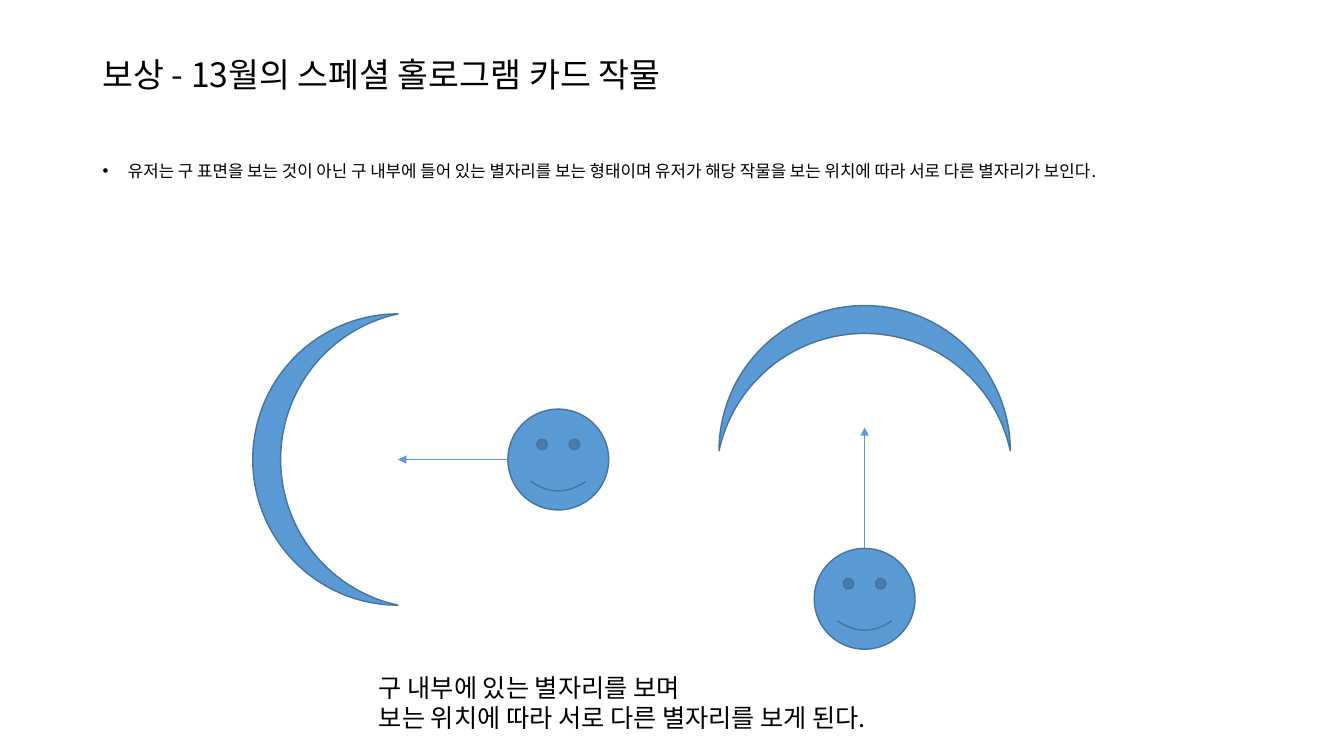
from dataclasses import dataclass

from lxml import etree
from pptx import Presentation
from pptx.dml.color import RGBColor
from pptx.enum import shapes, text
from pptx.oxml import ns
from pptx.util import Cm, Pt


@dataclass(frozen=True)
class Theme:
    font: str = "Noto Sans CJK KR"
    ink: RGBColor = RGBColor(0x00, 0x00, 0x00)
    blue: RGBColor = RGBColor(0x5B, 0x9B, 0xD5)
    outline: RGBColor = RGBColor(0x43, 0x73, 0x9E)
    title_size: int = 24
    body_size: int = 12
    caption_size: int = 18
    outline_width: float = 1
    sight_width: float = 0.5


THEME = Theme()
MOON_WIDTH, MOON_HEIGHT, MOON_ADJUST = 3.66, 7.34, 0.192
FACE_SIZE = 2.54


def place(item, left, top, width, height):
    item.left, item.top = Cm(left), Cm(top)
    item.width, item.height = Cm(width), Cm(height)


# Text
def add_run(paragraph, words, size):
    run = paragraph.add_run()
    run.text = words
    run.font.name = THEME.font
    run.font.size = Pt(size)
    run.font.color.rgb = THEME.ink
    east_asian = etree.SubElement(run.font._element, ns.qn("a:ea"))
    east_asian.set("typeface", THEME.font)


def set_title(slide, words):
    title = slide.shapes.title
    place(title, 2.33, 0.08, 29.21, 3.68)
    title.text_frame.vertical_anchor = text.MSO_ANCHOR.MIDDLE
    title.text_frame.auto_size = text.MSO_AUTO_SIZE.NONE
    heading = title.text_frame.paragraphs[0]
    heading.alignment = text.PP_ALIGN.LEFT
    heading.line_spacing = 0.9
    add_run(heading, words, THEME.title_size)


def set_bullet(slide, words):
    body = slide.placeholders[1]
    place(body, 2.33, 3.81, 29.21, 12.09)
    body.text_frame.auto_size = text.MSO_AUTO_SIZE.NONE
    point = body.text_frame.paragraphs[0]
    properties = point._p.get_or_add_pPr()
    properties.set("marL", str(Cm(0.64)))
    properties.set("indent", str(Cm(-0.64)))
    etree.SubElement(properties, ns.qn("a:buFont")).set("typeface", "Arial")
    etree.SubElement(properties, ns.qn("a:buChar")).set("char", "•")
    point.line_spacing = 1.2
    point.space_before = Pt(0)
    add_run(point, words, THEME.body_size)


def add_caption(slide, lines):
    caption = slide.shapes.add_textbox(Cm(9.3), Cm(16.81), Cm(14.43), Cm(1.8))
    frame = caption.text_frame
    frame.word_wrap = False
    frame.auto_size = text.MSO_AUTO_SIZE.SHAPE_TO_FIT_TEXT
    for index, words in enumerate(lines):
        line = frame.add_paragraph() if index else frame.paragraphs[0]
        add_run(line, words, THEME.caption_size)


# Drawing
def add_blue_shape(group, kind, left, top, width, height):
    figure = group.shapes.add_shape(kind, Cm(left), Cm(top), Cm(width), Cm(height))
    figure.shadow.inherit = False
    figure.fill.solid()
    figure.fill.fore_color.rgb = THEME.blue
    figure.line.color.rgb = THEME.outline
    figure.line.width = Pt(THEME.outline_width)
    return figure


def add_sight_arrow(group, start, end):
    sight = group.shapes.add_connector(
        shapes.MSO_CONNECTOR.STRAIGHT, *map(Cm, start), *map(Cm, end))
    sight.line.color.rgb = THEME.blue
    sight.line.width = Pt(THEME.sight_width)
    etree.SubElement(sight.line._get_or_add_ln(), ns.qn("a:tailEnd")).set("type", "triangle")
    etree.SubElement(sight._element.spPr, ns.qn("a:effectLst"))


def add_viewpoint(slide, moon_at, rotation, face_at, sight_start, sight_end):
    """A viewer looking into the inner side of the sphere."""
    group = slide.shapes.add_group_shape()
    moon = add_blue_shape(group, shapes.MSO_SHAPE.MOON, *moon_at, MOON_WIDTH, MOON_HEIGHT)
    moon.adjustments[0] = MOON_ADJUST
    moon.rotation = rotation
    add_blue_shape(group, shapes.MSO_SHAPE.SMILEY_FACE, *face_at, FACE_SIZE, FACE_SIZE)
    add_sight_arrow(group, sight_start, sight_end)


def main():
    deck = Presentation()
    deck.slide_width, deck.slide_height = Cm(33.87), Cm(19.05)
    slide = deck.slides.add_slide(deck.slide_layouts[1])

    set_title(slide, "보상 - 13월의 스페셜 홀로그램 카드 작물")
    set_bullet(slide, "유저는 구 표면을 보는 것이 아닌 구 내부에 들어 있는 별자리를 보는 형태이며 "
                      "유저가 해당 작물을 보는 위치에 따라 서로 다른 별자리가 보인다.")
    add_caption(slide, ["구 내부에 있는 별자리를 보며",
                        "보는 위치에 따라 서로 다른 별자리를 보게 된다."])

    # Looking left, then looking up
    half_face = FACE_SIZE / 2
    side_face, lower_face = (12.8, 10.31), (20.52, 13.82)
    eye_level = side_face[1] + half_face
    centre_line = lower_face[0] + half_face
    add_viewpoint(slide, (6.37, 7.91), 0, side_face,
                  (side_face[0], eye_level), (10.03, eye_level))
    add_viewpoint(slide, (19.96, 5.86), 90, lower_face,
                  (centre_line, lower_face[1]), (centre_line, 10.77))

    deck.save("out.pptx")


if __name__ == "__main__":
    main()
